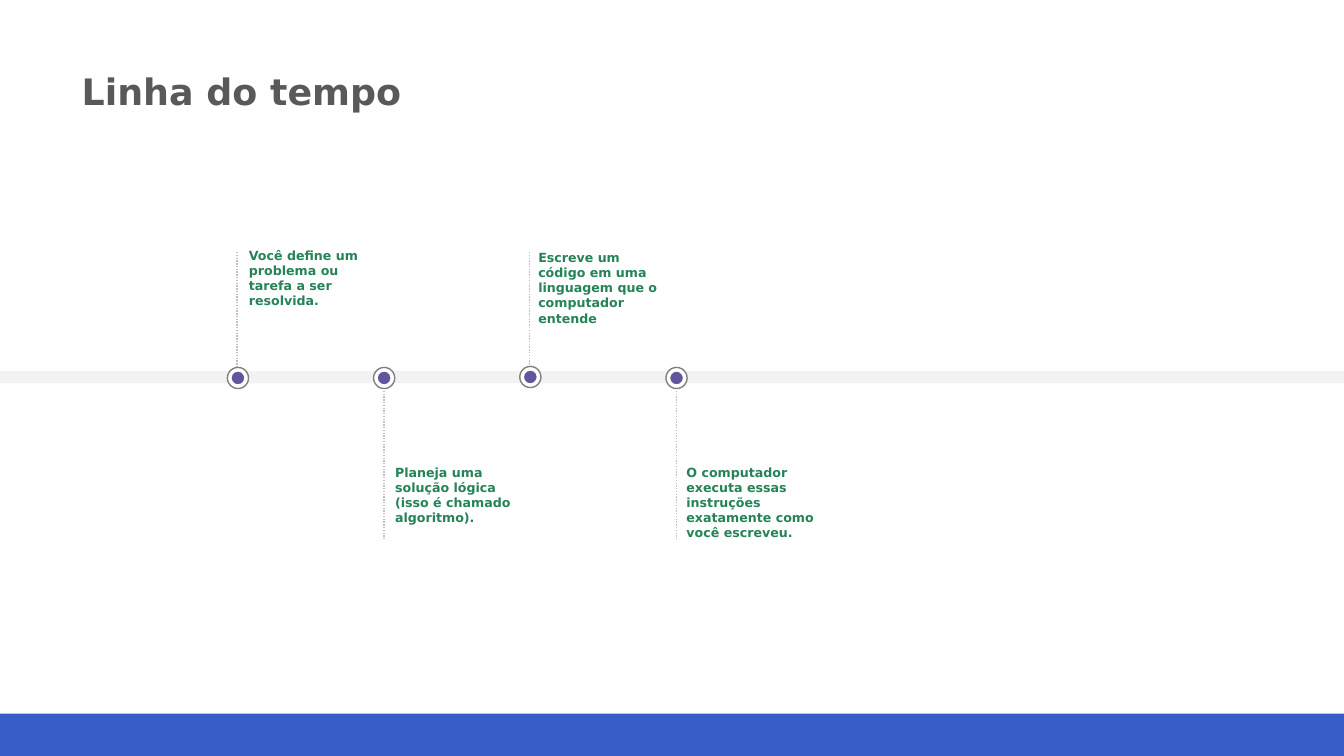
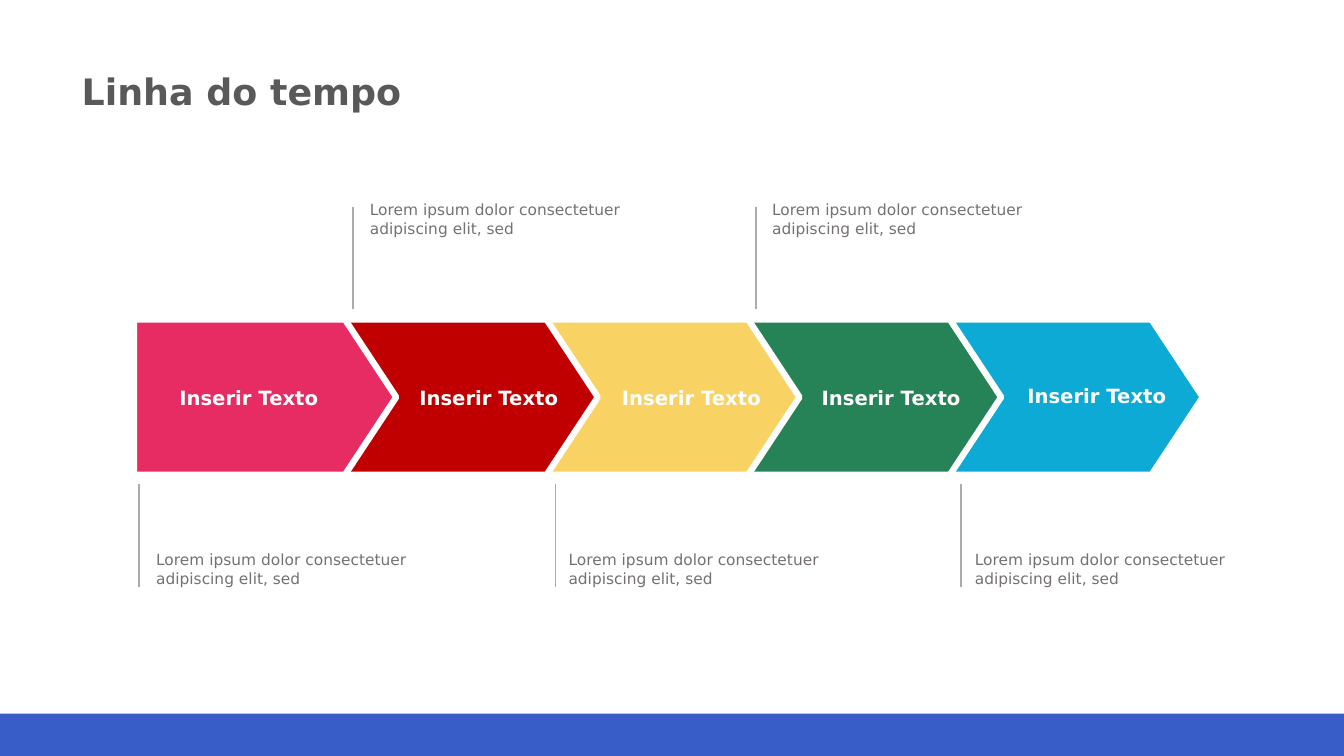
from lxml.etree import SubElement
from pptx import Presentation
from pptx.dml.color import RGBColor
from pptx.enum.dml import MSO_LINE
from pptx.enum.shapes import MSO_CONNECTOR, MSO_SHAPE
from pptx.enum.text import MSO_ANCHOR, PP_ALIGN
from pptx.oxml.ns import qn
from pptx.util import Inches, Pt

# Shared style
FONT = "DejaVu Sans"
WHITE = RGBColor(0xFF, 0xFF, 0xFF)
BLUE = RGBColor(0x38, 0x5D, 0xC8)
GREEN = RGBColor(0x25, 0x83, 0x57)
PURPLE = RGBColor(0x62, 0x54, 0x9D)
PINK = RGBColor(0xE6, 0x2C, 0x63)
RED = RGBColor(0xC0, 0x00, 0x00)
YELLOW = RGBColor(0xF8, 0xD3, 0x63)
CYAN = RGBColor(0x0D, 0xAA, 0xD6)
TITLE_GRAY = RGBColor(0x59, 0x59, 0x59)
TEXT_GRAY = RGBColor(0x76, 0x71, 0x71)
RING_GRAY = RGBColor(0x80, 0x80, 0x80)
LINE_GRAY = RGBColor(0xAF, 0xAB, 0xAB)
DOT_GRAY = RGBColor(0xBF, 0xBF, 0xBF)
STRIP_GRAY = RGBColor(0xF2, 0xF2, 0xF2)

TITLE_STYLE = dict(size=Pt(26), bold=True, color=TITLE_GRAY)
STEP_STYLE = dict(size=Pt(9), bold=True, color=GREEN)
NOTE_STYLE = dict(size=Pt(11), bold=False, color=TEXT_GRAY)
LABEL_STYLE = dict(size=Pt(14), bold=True, color=WHITE)

# Content
TITLE = "Linha do tempo"
STEPS = [  # line x, text left, text top, text lines
    (2.35, 2.37, 2.41, ["Você define um", "problema ou", "tarefa a ser", "resolvida."]),
    (3.81, 3.82, 4.56, ["Planeja uma", "solução lógica", "(isso é chamado", "algoritmo)."]),
    (5.25, 5.24, 2.43, ["Escreve um", "código em uma", "linguagem que o", "computador", "entende"]),
    (6.71, 6.71, 4.56, ["O computador", "executa essas", "instruções", "exatamente como", "você escreveu."]),
]
LABEL = "Inserir Texto"
NOTE = "Lorem ipsum dolor consectetuer adipiscing elit, sed"
ARROWS = [  # colour, label left, label top, line x, note left
    (PINK, 1.68, 3.78, 1.38, 1.45),
    (RED, 4.06, 3.78, 3.5, 3.57),
    (YELLOW, 6.07, 3.78, 5.51, 5.54),
    (GREEN, 8.05, 3.78, 7.5, 7.56),
    (CYAN, 10.09, 3.76, 9.53, 9.57),
]


def style_font(font, style):
    font.name = FONT
    for key, value in style.items():
        if key == "color":
            font.color.rgb = value
        else:
            setattr(font, key, value)


def add_shape(s, kind, x, y, w, h, fill, line=None, weight=1):
    sp = s.shapes.add_shape(kind, Inches(x), Inches(y), Inches(w), Inches(h))
    sp.shadow.inherit = False
    sp.fill.solid()
    sp.fill.fore_color.rgb = fill
    if line is None:
        sp.line.fill.background()
    else:
        sp.line.color.rgb = line
        sp.line.width = Pt(weight)
    return sp


def add_text(s, x, y, w, h, lines, style):
    tf = s.shapes.add_textbox(Inches(x), Inches(y), Inches(w), Inches(h)).text_frame
    tf.word_wrap = True
    for i, line in enumerate(lines):
        p = tf.paragraphs[0] if i == 0 else tf.add_paragraph()
        r = p.add_run()
        r.text = line
        style_font(r.font, style)


def add_vertical(s, x, top, bottom, color, dash=None):
    ln = s.shapes.add_connector(MSO_CONNECTOR.STRAIGHT, Inches(x), Inches(top),
                                Inches(x), Inches(bottom))
    ln.line.color.rgb = color
    ln.line.width = Pt(1)
    if dash is not None:
        ln.line.dash_style = dash
    SubElement(ln.element.spPr, qn("a:effectLst"))


def add_slide(prs):
    s = prs.slides.add_slide(prs.slide_layouts[5])
    title = s.shapes.title
    box = dict(left=0.71, top=0.68, width=11.82, height=0.51)
    for key, value in box.items():
        setattr(title, key, Inches(value))
    tf = title.text_frame
    tf.vertical_anchor = MSO_ANCHOR.MIDDLE
    p = tf.paragraphs[0]
    p.alignment = PP_ALIGN.LEFT
    p.line_spacing = 0.9
    r = p.add_run()
    r.text = TITLE
    style_font(r.font, TITLE_STYLE)
    return s


def add_master_band(prs, s):
    # Built on a slide, then moved behind the master's placeholders
    band = add_shape(s, MSO_SHAPE.RECTANGLE, 0, 7.08, 13.33, 0.42, BLUE).element
    band.nvSpPr.cNvPr.set("id", "99")
    prs.slide_master.shapes.element.insert(2, band)


def build_steps(s):
    # Dotted lines alternate above and below the strip
    for i, (x, *_) in enumerate(STEPS):
        top, bottom = (3.85, 5.36) if i % 2 else (2.5, 3.68)
        add_vertical(s, x, top, bottom, DOT_GRAY, MSO_LINE.ROUND_DOT)
    add_shape(s, MSO_SHAPE.RECTANGLE, 0, 3.68, 13.33, 0.12, STRIP_GRAY)
    # Markers and texts
    for i, (_, left, top, lines) in enumerate(STEPS):
        center_x = 2.36 + 1.45 * i
        center_y = 3.74 if i == 2 else 3.75
        for size, fill, line in ((0.21, WHITE, RING_GRAY), (0.14, PURPLE, WHITE)):
            add_shape(s, MSO_SHAPE.OVAL, center_x - size / 2, center_y - size / 2,
                      size, size, fill, line)
        add_text(s, left, top, 2.02, 0.1 + 0.15 * len(lines), lines, STEP_STYLE)


def build_arrows(s):
    # Drawn from right to left so that each arrow overlaps the next
    for i, (color, *_) in reversed(list(enumerate(ARROWS))):
        arrow = add_shape(s, MSO_SHAPE.PENTAGON, 1.33 + 2 * i, 3.17, 2.6, 1.54,
                          color, WHITE, 4.5)
        arrow.adjustments[0] = 0.33
    # Labels, with notes alternating below and above
    for i, (_, label_x, label_y, line_x, note_x) in enumerate(ARROWS):
        line_top, note_top = (2.05, 1.94) if i % 2 else (4.8, 5.41)
        add_vertical(s, line_x, line_top, line_top + 1.02, LINE_GRAY)
        add_text(s, note_x, note_top, 2.81, 0.47, [NOTE], NOTE_STYLE)
        add_text(s, label_x, label_y, 1.65, 0.34, [LABEL], LABEL_STYLE)


def main():
    prs = Presentation()
    prs.slide_width, prs.slide_height = Inches(13.33), Inches(7.5)
    steps = add_slide(prs)
    add_master_band(prs, steps)
    build_steps(steps)
    build_arrows(add_slide(prs))
    prs.save("out.pptx")


if __name__ == "__main__":
    main()
